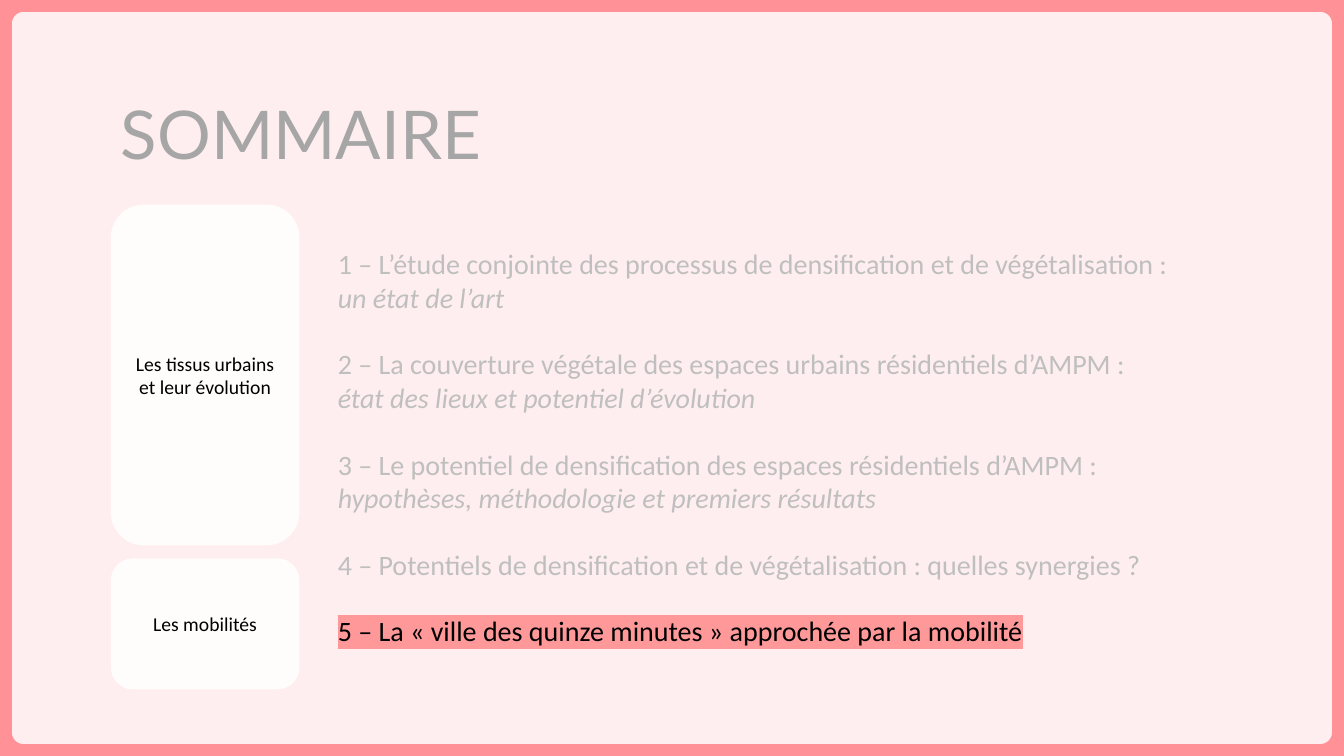
"""Build the agenda slide with its two theme blocks and the current chapter highlighted."""
from lxml import etree
from pptx import Presentation
from pptx.dml.color import RGBColor
from pptx.enum.shapes import MSO_SHAPE
from pptx.enum.text import MSO_ANCHOR, PP_ALIGN
from pptx.oxml.ns import qn
from pptx.util import Inches, Pt

RECT, ROUNDED = MSO_SHAPE.RECTANGLE, MSO_SHAPE.ROUNDED_RECTANGLE
TOP, MIDDLE = MSO_ANCHOR.TOP, MSO_ANCHOR.MIDDLE
LEFT, CENTER = PP_ALIGN.LEFT, PP_ALIGN.CENTER
WIDTH, HEIGHT = 13.33, 7.5
COLORS = {"background": "FFDADD", "block": "FFFFFF", "frame": "FF9197", "title": "A6A6A6",
          "muted": "BFBFBF", "current": "000000", "highlight": "FF9999"}
CHAPTERS = [
    ("1 – L’étude conjointe des processus de densification et de végétalisation :",
     "un état de l’art"),
    ("2 – La couverture végétale des espaces urbains résidentiels d’AMPM :",
     "état des lieux et potentiel d’évolution"),
    ("3 – Le potentiel de densification des espaces résidentiels d’AMPM :",
     "hypothèses, méthodologie et premiers résultats"),
    ("4 – Potentiels de densification et de végétalisation : quelles synergies ?",),
    ("5 – La «\u00a0ville des quinze minutes\u00a0» approchée par la mobilité",),
]
CURRENT = 4
THEMES = [("Les tissus urbains et leur évolution", 2.03, 3.38, 0.173),
          ("Les mobilités", 5.54, 1.3, 0.167)]


def rgb(name):
    """Return the named colour."""
    return RGBColor.from_string(COLORS[name])


def set_font(p, size, color, name="Calibri", italic=False):
    """Format a whole paragraph."""
    p.font.size, p.font.name, p.font.italic = Pt(size), name, italic
    p.font.color.rgb = rgb(color)


def add_panel(s, kind, box, fill=None, opacity=100, radius=None):
    """Add a borderless shape, optionally filled with a translucent colour."""
    sp = s.shapes.add_shape(kind, *map(Inches, box))
    sp.shadow.inherit = False
    sp.line.fill.background()
    if radius is not None:
        sp.adjustments[0] = radius
    if fill is None:
        sp.fill.background()
    else:
        sp.fill.solid()
        sp.fill.fore_color.rgb = rgb(fill)
        color = sp.fill._xPr.find(".//" + qn("a:srgbClr"))
        etree.SubElement(color, qn("a:alpha"), val=str(opacity * 1000))
    return sp


def highlight(r, color):
    """Put a highlight colour behind a run."""
    mark = etree.SubElement(r._r.get_or_add_rPr(), qn("a:highlight"))
    etree.SubElement(mark, qn("a:srgbClr"), val=COLORS[color])


def add_chapters(s):
    """Add the chapter list, with the current chapter highlighted."""
    tf = s.shapes.add_textbox(*map(Inches, (3.07, 2.02, 9.92, 4.49))).text_frame
    tf.word_wrap, tf.vertical_anchor = True, MIDDLE
    tf.margin_left, tf.margin_top = Inches(0.28), Inches(0.34)
    tf.margin_right = tf.margin_bottom = 0
    for i, lines in enumerate(CHAPTERS):
        for j, text in enumerate(lines):
            p = tf.add_paragraph() if i or j else tf.paragraphs[0]
            if i and not j:
                p.space_before = Pt(23.5)
            r = p.add_run()
            r.text = text
            set_font(p, 20, "current" if i == CURRENT else "muted", italic=j > 0)
            if i == CURRENT:
                highlight(r, "highlight")


def add_theme(s, text, top, height, radius):
    """Add a white block naming a theme."""
    sp = add_panel(s, ROUNDED, (1.1, top, 1.87, height), "block", 87, radius)
    tf = sp.text_frame
    tf.word_wrap, tf.vertical_anchor = True, MIDDLE
    p = tf.paragraphs[0]
    p.text, p.alignment = text, CENTER
    set_font(p, 14, "current")


def add_title(s, text):
    """Place the title in front of the background."""
    title = s.shapes.title
    s.shapes._spTree.append(title._element)
    title.left, title.top, title.width, title.height = map(Inches, (1.1, 0.87, 7.02, 0.91))
    tf = title.text_frame
    tf.vertical_anchor = TOP
    p = tf.paragraphs[0]
    p.text, p.alignment = text, LEFT
    set_font(p, 48, "title", "Lato")


def add_frame(s):
    """Add the rounded frame around the slide."""
    sp = add_panel(s, ROUNDED, (0, 0, WIDTH, HEIGHT), radius=0.031)
    sp.line.color.rgb = rgb("frame")
    sp.line.width = Pt(17)


def main():
    """Build and save the slide."""
    prs = Presentation()
    prs.slide_width, prs.slide_height = Inches(WIDTH), Inches(HEIGHT)
    s = prs.slides.add_slide(prs.slide_layouts[5])
    add_panel(s, RECT, (0, 0, WIDTH, HEIGHT), "background", 46)
    add_chapters(s)
    for theme in THEMES:
        add_theme(s, *theme)
    add_title(s, "SOMMAIRE")
    add_frame(s)
    prs.save("out.pptx")


if __name__ == "__main__":
    main()
